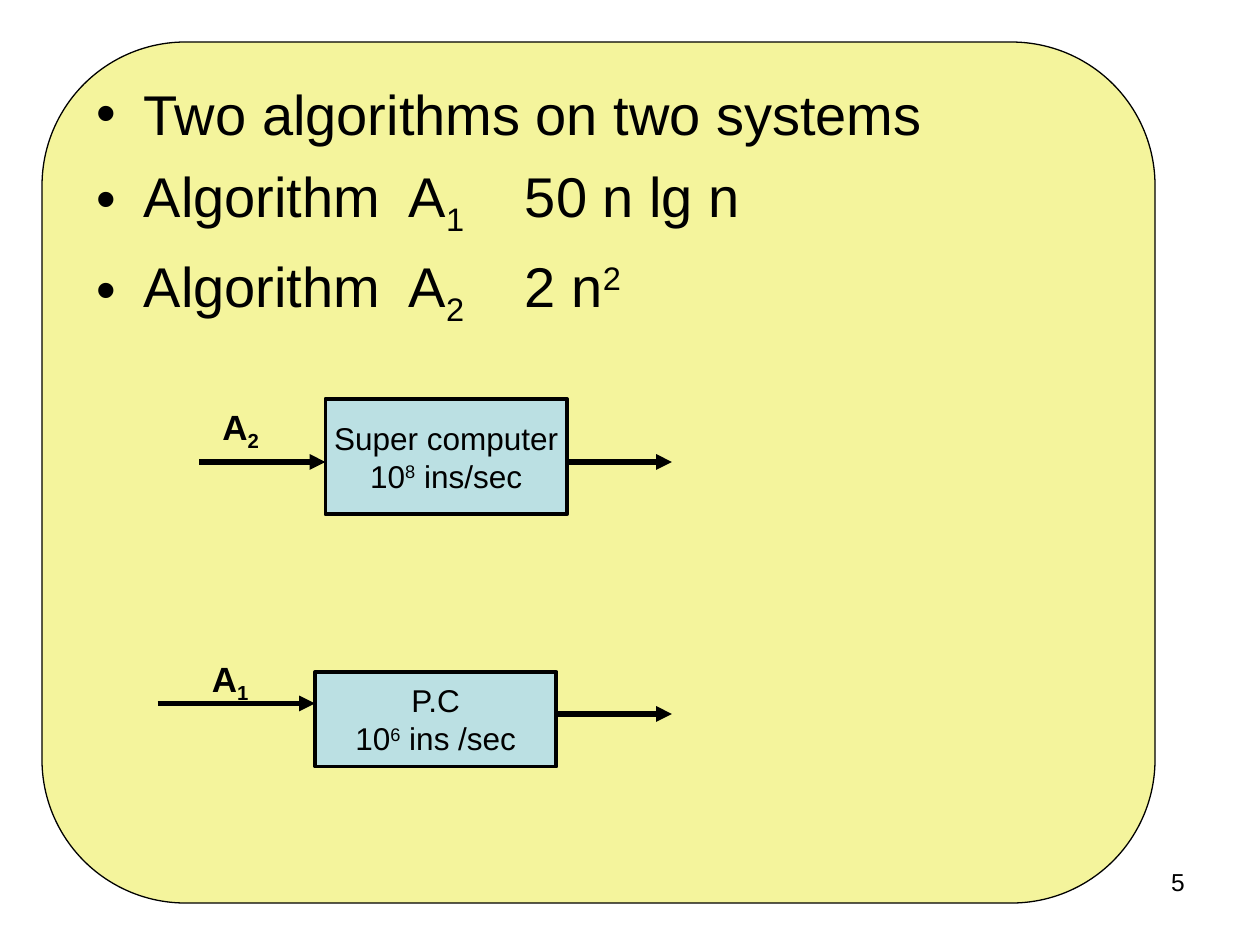
"""Build a slide comparing two algorithms running on two computer systems."""
from dataclasses import dataclass

from lxml.etree import SubElement
from pptx import Presentation
from pptx.dml.color import RGBColor
from pptx.enum.shapes import MSO_CONNECTOR as Connector, MSO_SHAPE as Shape
from pptx.enum.text import MSO_ANCHOR as Anchor, MSO_AUTO_SIZE as AutoSize, PP_ALIGN as Align
from pptx.oxml.ns import qn
from pptx.util import Inches, Pt


@dataclass(frozen=True)
class Theme:
    font: str = "Arial"
    ink: RGBColor = RGBColor(0x00, 0x00, 0x00)
    panel: RGBColor = RGBColor(0xF4, 0xF4, 0x9C)
    system: RGBColor = RGBColor(0xBB, 0xE0, 0xE3)
    body_size: int = 32
    label_size: int = 20
    system_size: int = 18
    number_size: int = 14


THEME = Theme()
SUB, SUPER = -25, 30
WIDTH, HEIGHT = Inches(10), Inches(7.5)
COLUMNS, ROWS = 120, 90
PANEL = (4, 4, 106, 82)
BODY = (8, 7, 106, 83)
NUMBER = (86, 82, 28, 6.2)
LABEL_SIZE = (7, 5.8)
OUTPUT_END = 64
FORMULA_TAB = Inches(3.4)

BULLETS = [
    [("Two algorithms on two systems", 0)],
    [("Algorithm  A", 0), ("1", SUB), ("\t50 n lg n", 0)],
    [("Algorithm  A", 0), ("2", SUB), ("\t2 n", 0), ("2", SUPER)],
]
SYSTEMS = [
    {
        "text": [[("Super computer", 0)], [("10", 0), ("8", SUPER), (" ins/sec", 0)]],
        "box": (31, 38, 23, 11),
        "label": [[("A", 0), ("2", SUB)]],
        "label_at": (20, 38),
        "input": (19, 44),
        "output_row": 44,
    },
    {
        "text": [[("P.C", 0)], [("10", 0), ("6", SUPER), (" ins /sec", 0)]],
        "box": (30, 64, 23, 9),
        "label": [[("A", 0), ("1", SUB)]],
        "label_at": (19, 62),
        "input": (15, 67),
        "output_row": 68,
    },
]


def place(left, top, *size):
    """Turn grid columns and rows into slide lengths."""
    steps = (WIDTH / COLUMNS, HEIGHT / ROWS)
    return [round(value * steps[index % 2]) for index, value in enumerate((left, top, *size))]


def write(text_frame, lines, size, align=Align.LEFT, before=0, bold=False):
    """Fill a text frame with lines of (text, baseline) runs."""
    for index, line in enumerate(lines):
        paragraph = text_frame.add_paragraph() if index else text_frame.paragraphs[0]
        paragraph.alignment, paragraph.space_before = align, Pt(before)
        for text, baseline in line:
            run = paragraph.add_run()
            run.text = text
            run.font.name, run.font.size, run.font.bold = THEME.font, Pt(size), bold
            run.font.color.rgb = THEME.ink
            if baseline:
                run._r.get_or_add_rPr().set("baseline", str(baseline * 1000))


def add_box(slide, kind, area, fill, line_width):
    """Add a filled, outlined shape without a shadow."""
    shape = slide.shapes.add_shape(kind, *place(*area))
    shape.shadow.inherit = False
    shape.fill.solid()
    shape.fill.fore_color.rgb = fill
    shape.line.color.rgb, shape.line.width = THEME.ink, Pt(line_width)
    return shape


def add_text(slide, area, lines, size, **style):
    """Add a wrapping text box."""
    text_frame = slide.shapes.add_textbox(*place(*area)).text_frame
    text_frame.word_wrap = True
    write(text_frame, lines, size, **style)


def add_arrow(slide, start, end):
    """Add a straight arrow between two grid points."""
    arrow = slide.shapes.add_connector(Connector.STRAIGHT, *place(*start, *end))
    arrow.line.color.rgb, arrow.line.width = THEME.ink, Pt(3)
    SubElement(arrow.line._get_or_add_ln(), qn("a:tailEnd"), type="triangle")
    SubElement(arrow._element.spPr, qn("a:effectLst"))


def add_body(slide):
    """Fill the body placeholder with the bullets."""
    body = slide.placeholders[1]
    body.left, body.top, body.width, body.height = place(*BODY)
    body.text_frame.auto_size = AutoSize.NONE
    write(body.text_frame, BULLETS, THEME.body_size, before=8)
    for paragraph in body.text_frame.paragraphs:
        tabs = SubElement(paragraph._p.get_or_add_pPr(), qn("a:tabLst"))
        SubElement(tabs, qn("a:tab"), pos=str(FORMULA_TAB), algn="l")


def add_system(slide, system):
    """Add one computer with its labelled input and its output."""
    left, top, width, height = system["box"]
    add_arrow(slide, system["input"], (left, system["input"][1]))
    add_arrow(slide, (left + width, system["output_row"]), (OUTPUT_END, system["output_row"]))
    text_frame = add_box(slide, Shape.RECTANGLE, system["box"], THEME.system, 2.25).text_frame
    text_frame.word_wrap, text_frame.vertical_anchor = False, Anchor.MIDDLE
    write(text_frame, system["text"], THEME.system_size, align=Align.CENTER)
    add_text(slide, system["label_at"] + LABEL_SIZE, system["label"],
             THEME.label_size, before=12.5, bold=True)


def main():
    presentation = Presentation()
    presentation.slide_width, presentation.slide_height = WIDTH, HEIGHT
    slide = presentation.slides.add_slide(presentation.slide_layouts[1])
    title = slide.shapes.title._element
    title.getparent().remove(title)
    panel = add_box(slide, Shape.ROUNDED_RECTANGLE, PANEL, THEME.panel, 0.75)
    slide.placeholders[1]._element.addprevious(panel._element)
    add_body(slide)
    for system in SYSTEMS:
        add_system(slide, system)
    add_text(slide, NUMBER, [[("5", 0)]], THEME.number_size, align=Align.RIGHT)
    presentation.save("out.pptx")


if __name__ == "__main__":
    main()
